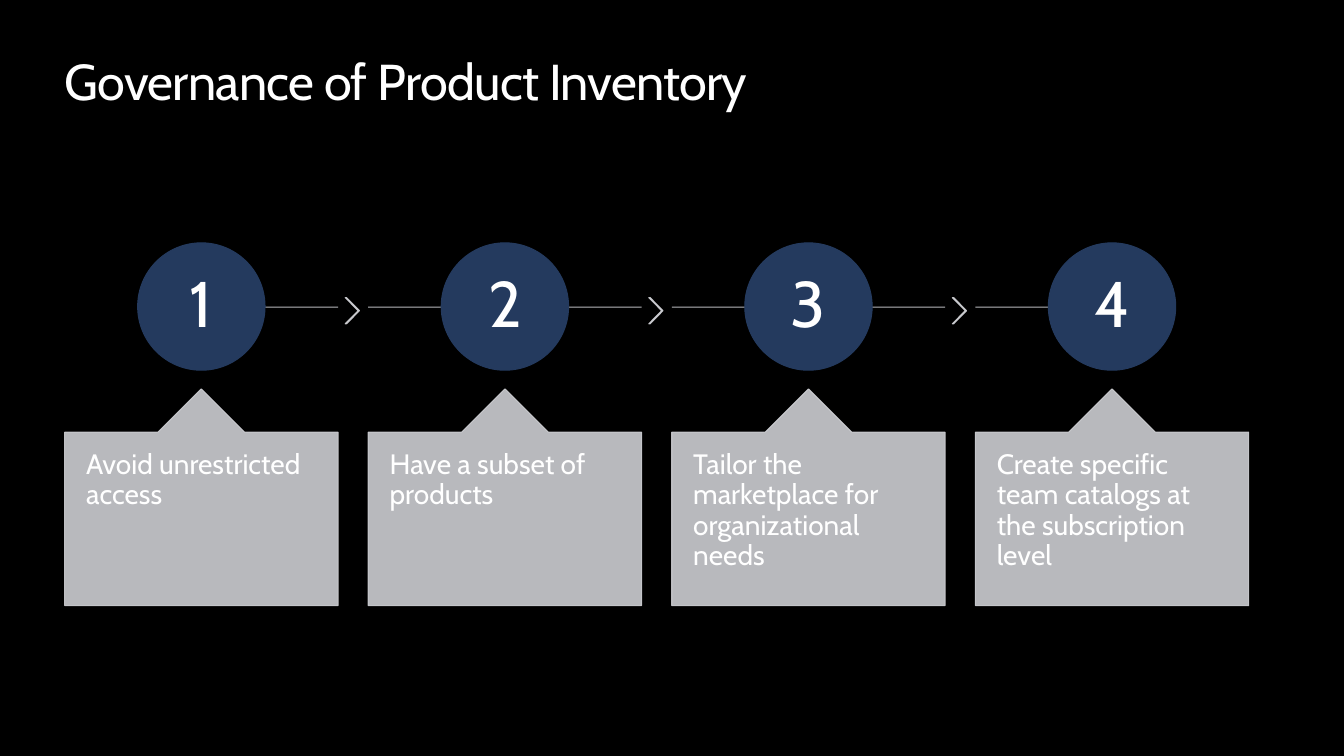
from lxml import etree
from pptx import Presentation
from pptx.dml.color import RGBColor
from pptx.enum import shapes, text
from pptx.oxml.ns import qn
from pptx.util import Cm, Pt

BLACK = RGBColor(0x00, 0x00, 0x00)
WHITE = RGBColor(0xFF, 0xFF, 0xFF)
NAVY = RGBColor(0x24, 0x3A, 0x5E)
GREY = RGBColor(0xCD, 0xCE, 0xD2)
FONT = "Cabin"
KIND = shapes.MSO_SHAPE

STEPS = [
    "Avoid unrestricted access",
    "Have a subset of products",
    "Tailor the marketplace for organizational needs",
    "Create specific team catalogs at the subscription level",
]
LEFT, PITCH, WIDTH = 1.63, 7.65, 6.89
DISC, DISC_TOP = 3.21, 6.12
LINE_Y = 7.74
CARD_TOP, CARD_H, TIP_H = 9.8, 5.46, 1.09


def fade(item):
    """Make every solid colour of the shape 90 % opaque."""
    for color in item._element.spPr.iter(qn("a:srgbClr")):
        etree.SubElement(color, qn("a:alpha"), val="90000")


def add_shape(slide, kind, box, color, adjust=()):
    item = slide.shapes.add_shape(kind, *map(Cm, box))
    item.shadow.inherit = False
    for i, value in enumerate(adjust):
        item.adjustments[i] = value
    item.fill.solid()
    item.fill.fore_color.rgb = color
    item.line.color.rgb = color
    item.line.width = Pt(0.75)
    return item


def add_line(slide, start, end):
    line = slide.shapes.add_connector(
        shapes.MSO_CONNECTOR.STRAIGHT, Cm(start), Cm(LINE_Y), Cm(end), Cm(LINE_Y))
    line.line.color.rgb = GREY
    line.line.width = Pt(0.75)
    etree.SubElement(line._element.spPr, qn("a:effectLst"))
    fade(line)


def add_text(slide, box, words, size, inset=(0, 0), spacing=None):
    """Add wrapped white text; inset is (sides, top and bottom) in cm."""
    item = slide.shapes.add_textbox(*map(Cm, box))
    frame = item.text_frame
    frame.word_wrap = True
    frame.margin_left = frame.margin_right = Cm(inset[0])
    frame.margin_top = frame.margin_bottom = Cm(inset[1])
    frame.text = words
    para = frame.paragraphs[0]
    para.line_spacing = spacing
    font = para.runs[0].font
    font.name = FONT
    font.size = Pt(size)
    font.color.rgb = WHITE
    return frame


def add_title(slide, words):
    frame = add_text(slide, (LEFT, 1.27, 30.6, 1.55), words, 36)
    frame.paragraphs[0].runs[0].font._element.set("spc", "-50")


def add_disc(slide, left, number):
    box = (left + (WIDTH - DISC) / 2, DISC_TOP, DISC, DISC)
    add_shape(slide, KIND.OVAL, box, NAVY)
    frame = add_text(slide, box, str(number), 46, (0.13, 0.13), 0.9)
    frame.vertical_anchor = text.MSO_ANCHOR.MIDDLE
    frame.paragraphs[0].alignment = text.PP_ALIGN.CENTER


def add_card(slide, left, words):
    box = (left, CARD_TOP, WIDTH, CARD_H)
    fade(add_shape(slide, KIND.UP_ARROW_CALLOUT, box, GREY, (0.5, 0.2, 0.2, 1)))
    body = (left, CARD_TOP + TIP_H, WIDTH, CARD_H - TIP_H)
    add_text(slide, body, words, 20, (0.54, 0.46), 0.9)


def add_step(slide, index, words):
    left = LEFT + index * PITCH
    first, last = index == 0, index == len(STEPS) - 1
    start = left + 3.83 if first else left
    end = left + WIDTH / 2 if last else left + WIDTH
    add_line(slide, start, end)
    if not last:
        box = (left + 7.07, 7.5, 0.36, 0.66)
        fade(add_shape(slide, KIND.CHEVRON, box, GREY, (0.9,)))
    add_disc(slide, left, index + 1)
    add_card(slide, left, words)


def main():
    deck = Presentation()
    deck.slide_width, deck.slide_height = Cm(33.87), Cm(19.05)
    slide = deck.slides.add_slide(deck.slide_layouts[6])
    slide.background.fill.solid()
    slide.background.fill.fore_color.rgb = BLACK
    add_title(slide, "Governance of Product Inventory")
    for index, words in enumerate(STEPS):
        add_step(slide, index, words)
    deck.save("out.pptx")


if __name__ == "__main__":
    main()
